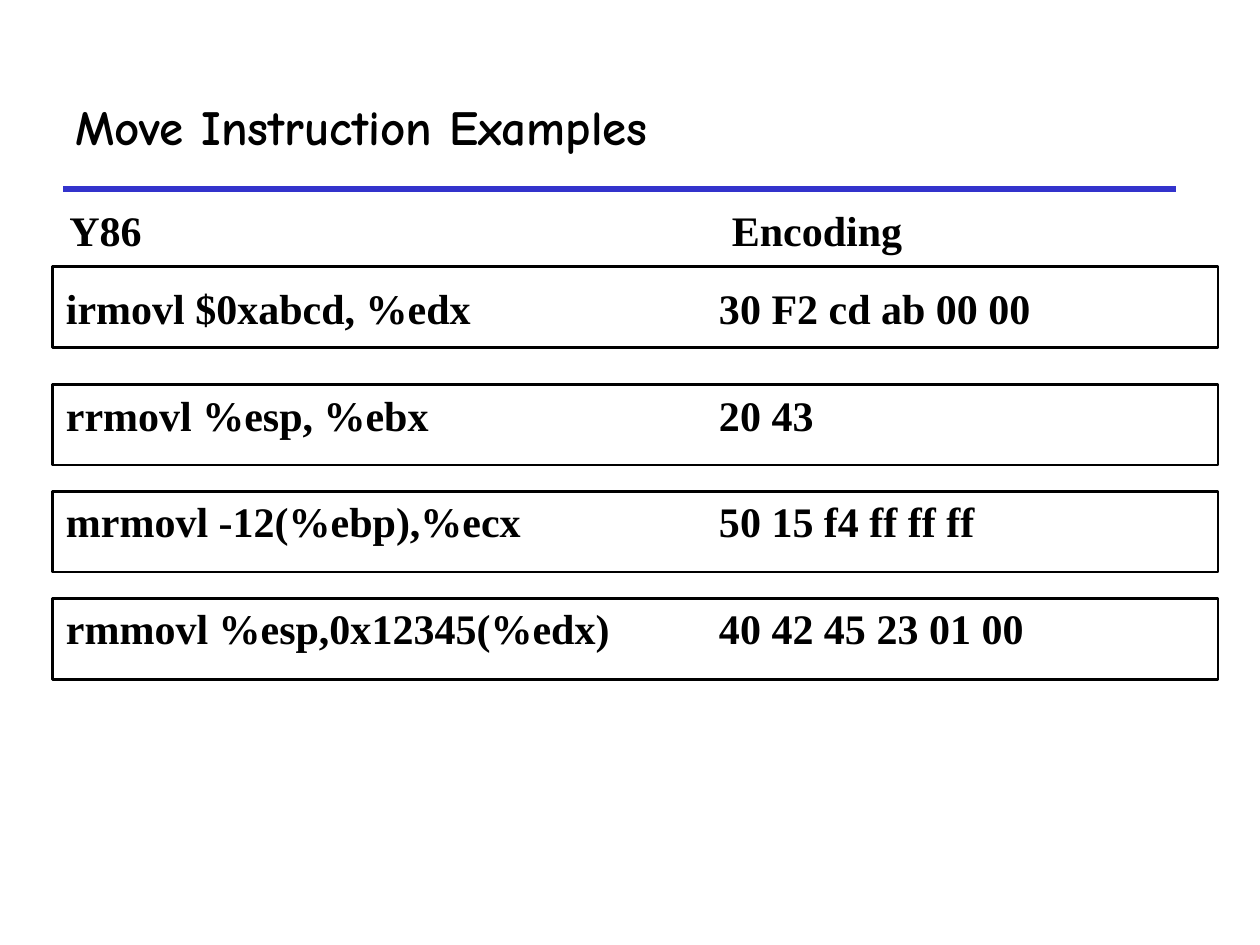
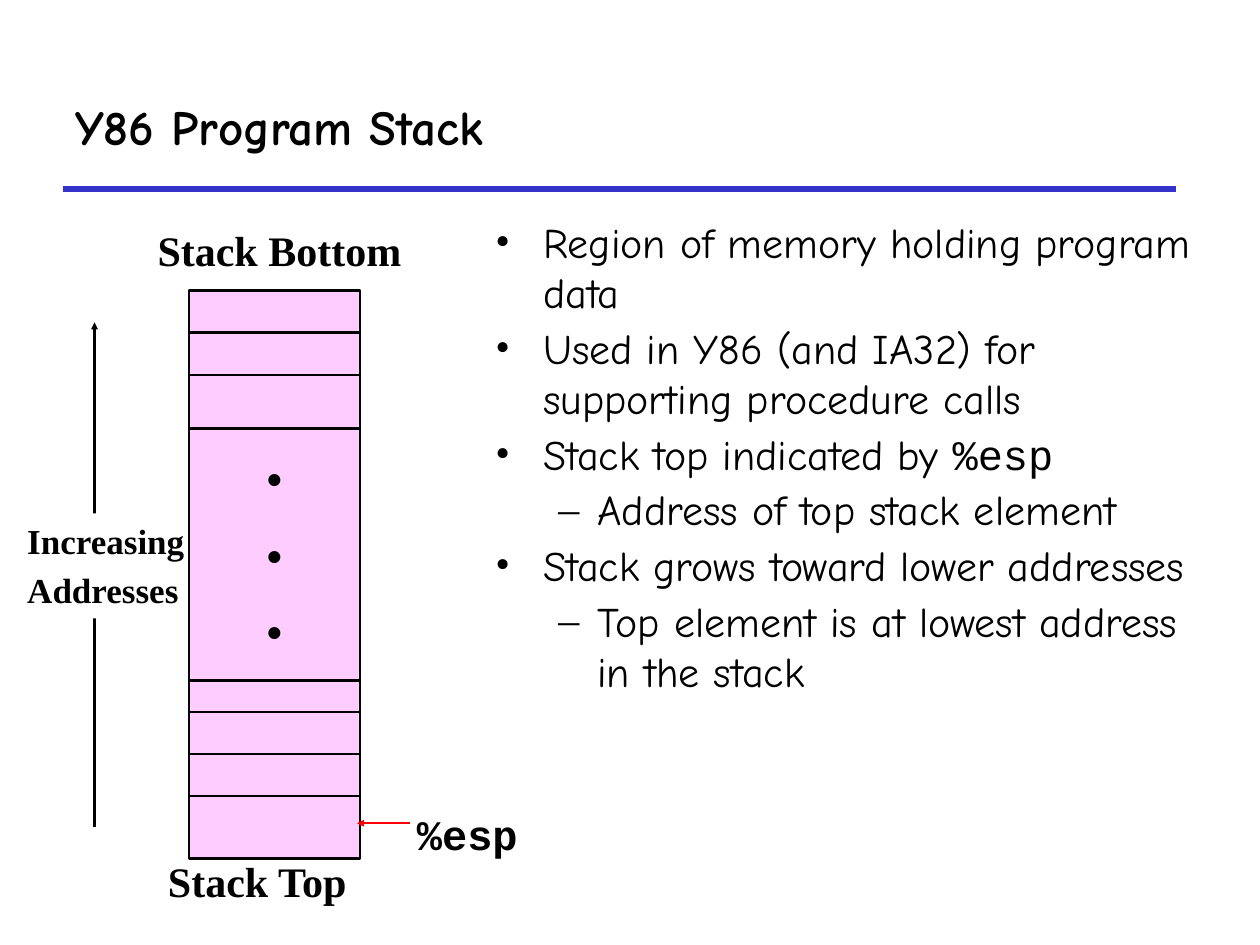
from dataclasses import dataclass

import lxml.etree
import pptx
import pptx.dml.color
import pptx.enum.shapes
import pptx.enum.text
import pptx.oxml.ns
import pptx.util

SLIDE_WIDTH, SLIDE_HEIGHT = pptx.util.Inches(10), pptx.util.Inches(7.5)
COLUMNS, ROWS = 120, 90
COLORS = {"ink": "000000", "paper": "FFFFFF", "rule": "3333CC",
          "cell": "FFCCFF", "pointer": "FF0002"}
HAND, SERIF, MONO = "Comic Neue", "Times New Roman", "Courier New"
TOP = pptx.enum.text.MSO_ANCHOR.TOP
MIDDLE = pptx.enum.text.MSO_ANCHOR.MIDDLE
LEFT = pptx.enum.text.PP_ALIGN.LEFT
CENTER = pptx.enum.text.PP_ALIGN.CENTER


@dataclass(frozen=True)
class Area:
    column: float
    row: float
    width: float
    height: float

    def lengths(self) -> tuple[int, int, int, int]:
        return (across(self.column), down(self.row),
                across(self.width), down(self.height))


@dataclass(frozen=True)
class Style:
    font: str = SERIF
    size: int = 24
    bold: bool = True
    side_inset: float = 0.05
    anchor: pptx.enum.text.MSO_ANCHOR = TOP
    align: pptx.enum.text.PP_ALIGN = LEFT
    gap: float = 0


@dataclass(frozen=True)
class Label:
    area: Area
    lines: tuple[str, ...]
    style: Style


@dataclass(frozen=True)
class Bullet:
    text: str
    level: int = 0
    register: str = ""


@dataclass(frozen=True)
class Instruction:
    source: str
    encoding: str
    frame_row: float
    text_row: float


TITLE = Style(HAND, 28, side_inset=0.1, anchor=MIDDLE)
CODE = Style(side_inset=0.1, anchor=MIDDLE)
CAPTION = Style()
REGISTER = Style(MONO)
DIRECTION = Style(size=20, gap=4)
DOTS = Style(MONO, anchor=MIDDLE, align=CENTER, gap=15)

INSTRUCTIONS = [
    Instruction("irmovl $0xabcd, %edx", "30 F2 cd ab 00 00", 25.4, 25.2),
    Instruction("rrmovl %esp, %ebx", "20 43", 36.6, 35.4),
    Instruction("mrmovl -12(%ebp),%ecx", "50 15 f4 ff ff ff", 46.8, 45.5),
    Instruction("rmmovl %esp,0x12345(%edx)", "40 42 45 23 01 00", 57, 55.7),
]
BULLETS = [
    Bullet("Region of memory holding program data"),
    Bullet("Used in Y86 (and IA32) for supporting procedure calls"),
    Bullet("Stack top indicated by ", register="%esp"),
    Bullet("Address of top stack element", 1),
    Bullet("Stack grows toward lower addresses"),
    Bullet("Top element is at lowest address in the stack", 1),
]
BULLET_LEVELS = [("•", 0.38, -0.38), ("–", 0.81, -0.31)]


def across(columns: float) -> int:
    return round(SLIDE_WIDTH * columns / COLUMNS)


def down(rows: float) -> int:
    return round(SLIDE_HEIGHT * rows / ROWS)


def color(name: str) -> pptx.dml.color.RGBColor:
    return pptx.dml.color.RGBColor.from_string(COLORS[name])


def add_element(parent, tag: str, **attributes: str) -> None:
    lxml.etree.SubElement(parent, pptx.oxml.ns.qn(tag), **attributes)


def set_font(font, name: str, size: int, bold: bool) -> None:
    font.name, font.size, font.bold = name, pptx.util.Pt(size), bold
    font.color.rgb = color("ink")


def prepare_frame(shape, style: Style):
    frame = shape.text_frame
    frame.word_wrap = True
    frame.vertical_anchor = style.anchor
    frame.margin_left = frame.margin_right = pptx.util.Inches(style.side_inset)
    frame.margin_top = frame.margin_bottom = pptx.util.Inches(0.05)
    return frame


def write_lines(shape, lines: tuple[str, ...], style: Style) -> None:
    frame = prepare_frame(shape, style)
    frame.text = "\n".join(lines)
    for index, paragraph in enumerate(frame.paragraphs):
        paragraph.alignment = style.align
        paragraph.space_before = pptx.util.Pt(style.gap if index else 0)
        set_font(paragraph.font, style.font, style.size, style.bold)


def add_label(slide, label: Label) -> None:
    box = slide.shapes.add_textbox(*label.area.lengths())
    write_lines(box, label.lines, label.style)


def add_box(slide, area: Area, fill: str = "", outlined: bool = True):
    box = slide.shapes.add_shape(
        pptx.enum.shapes.MSO_SHAPE.RECTANGLE, *area.lengths())
    box.shadow.inherit = False
    if fill:
        box.fill.solid()
        box.fill.fore_color.rgb = color(fill)
    else:
        box.fill.background()
    if outlined:
        box.line.color.rgb = color("ink")
        box.line.width = pptx.util.Pt(1.5)
    else:
        box.line.fill.background()
    return box


def add_line(slide, start: tuple[float, float], end: tuple[float, float],
             ink: str, width: float = 1.5, arrow: bool = True) -> None:
    line = slide.shapes.add_connector(
        pptx.enum.shapes.MSO_CONNECTOR.STRAIGHT,
        across(start[0]), down(start[1]), across(end[0]), down(end[1]))
    line.line.color.rgb = color(ink)
    line.line.width = pptx.util.Pt(width)
    if arrow:
        add_element(line.line._get_or_add_ln(), "a:tailEnd",
                    type="triangle", w="sm", len="sm")
    add_element(line._element.spPr, "a:effectLst")


def add_titled_slide(presentation, title: str):
    slide = presentation.slides.add_slide(presentation.slide_layouts[6])
    slide.background.fill.solid()
    slide.background.fill.fore_color.rgb = color("paper")
    add_line(slide, (6, 18), (112, 18), "rule", 3, arrow=False)
    add_label(slide, Label(Area(6, 6, 106, 12), (title,), TITLE))
    return slide


def add_bullets(slide, area: Area, bullets: list[Bullet]) -> None:
    box = slide.shapes.add_textbox(*area.lengths())
    frame = prepare_frame(box, Style(side_inset=0.1))
    for index, bullet in enumerate(bullets):
        paragraph = frame.add_paragraph() if index else frame.paragraphs[0]
        symbol, margin, indent = BULLET_LEVELS[bullet.level]
        properties = paragraph._p.get_or_add_pPr()
        properties.set("marL", str(pptx.util.Inches(margin)))
        properties.set("indent", str(pptx.util.Inches(indent)))
        add_element(properties, "a:buFont", typeface=SERIF)
        add_element(properties, "a:buChar", char=symbol)
        paragraph.level = bullet.level
        paragraph.space_before = pptx.util.Pt(3 if index else 0)
        set_font(paragraph.font, HAND, 24, False)
        paragraph.add_run().text = bullet.text
        if bullet.register:
            run = paragraph.add_run()
            run.text = bullet.register
            run.font.name = MONO


def build_move_examples(presentation) -> None:
    slide = add_titled_slide(presentation, "Move Instruction Examples")
    for column, heading in ((6, "Y86"), (69.1, "Encoding")):
        add_label(slide, Label(Area(column, 18.9, 20, 6), (heading,), CAPTION))
    for instruction in INSTRUCTIONS:
        add_box(slide, Area(5, instruction.frame_row, 111, 7.7))
        for column, width, text in ((5.1, 60, instruction.source),
                                    (67.3, 48, instruction.encoding)):
            area = Area(column, instruction.text_row, width, 8.2)
            add_label(slide, Label(area, (text,), CODE))


def build_program_stack(presentation) -> None:
    slide = add_titled_slide(presentation, "Y86 Program Stack")
    add_bullets(slide, Area(46, 20, 69, 56), BULLETS)
    for first_row, count in ((27.7, 3), (63.8, 4)):
        for index in range(count):
            add_box(slide, Area(18, first_row + 4 * index, 16.3, 6), "cell")
    add_line(slide, (39, 78.4), (34, 78.4), "pointer")
    add_line(slide, (9, 78.8), (9, 30.7), "ink")
    direction = add_box(slide, Area(2, 48.9, 18, 10), "paper", outlined=False)
    write_lines(direction, ("Increasing", "Addresses"), DIRECTION)
    for label in (
        Label(Area(39.1, 76.4, 14, 6), ("%esp",), REGISTER),
        Label(Area(15.4, 80.9, 30, 6), ("Stack Top",), CAPTION),
        Label(Area(14.4, 20.8, 32, 6), ("Stack Bottom",), CAPTION),
    ):
        add_label(slide, label)
    middle = add_box(slide, Area(18, 40.8, 16.3, 24), "cell")
    write_lines(middle, ("•", "•", "•"), DOTS)


def main() -> None:
    presentation = pptx.Presentation()
    presentation.slide_width = SLIDE_WIDTH
    presentation.slide_height = SLIDE_HEIGHT
    build_move_examples(presentation)
    build_program_stack(presentation)
    presentation.save("out.pptx")


if __name__ == "__main__":
    main()
